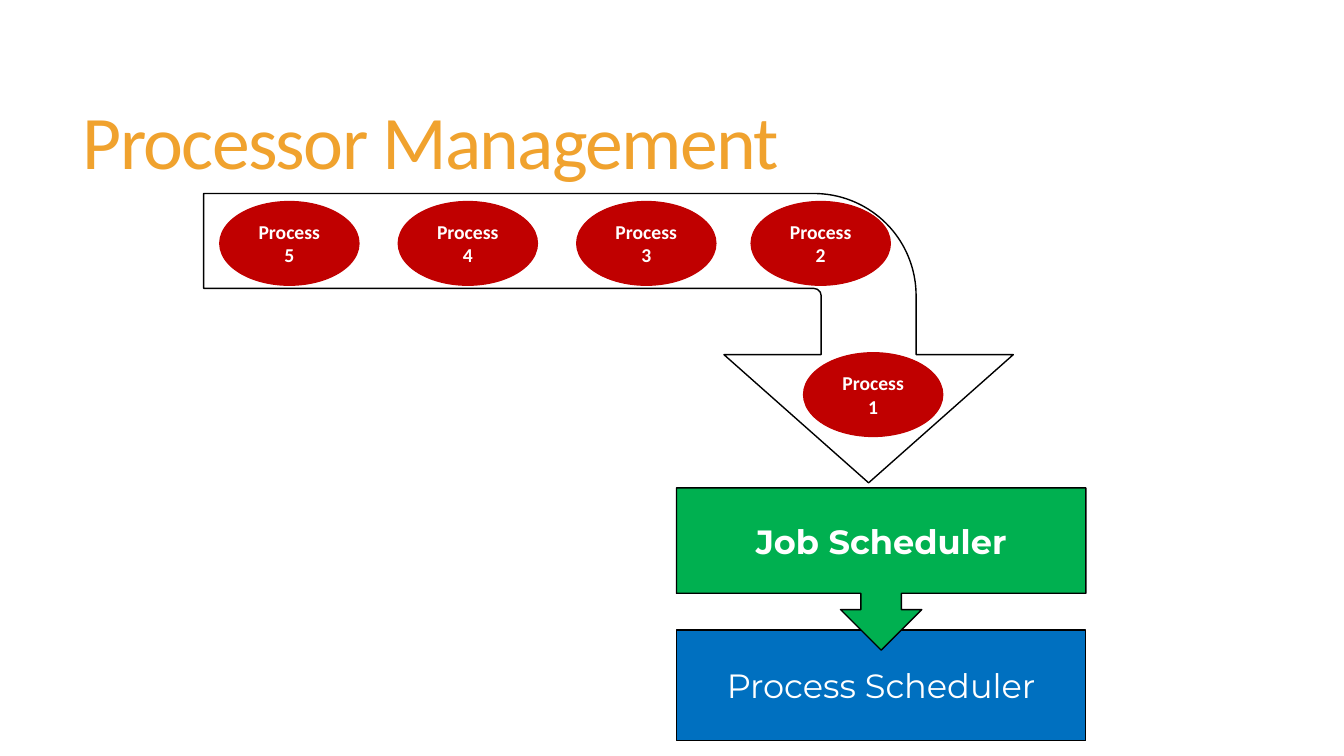
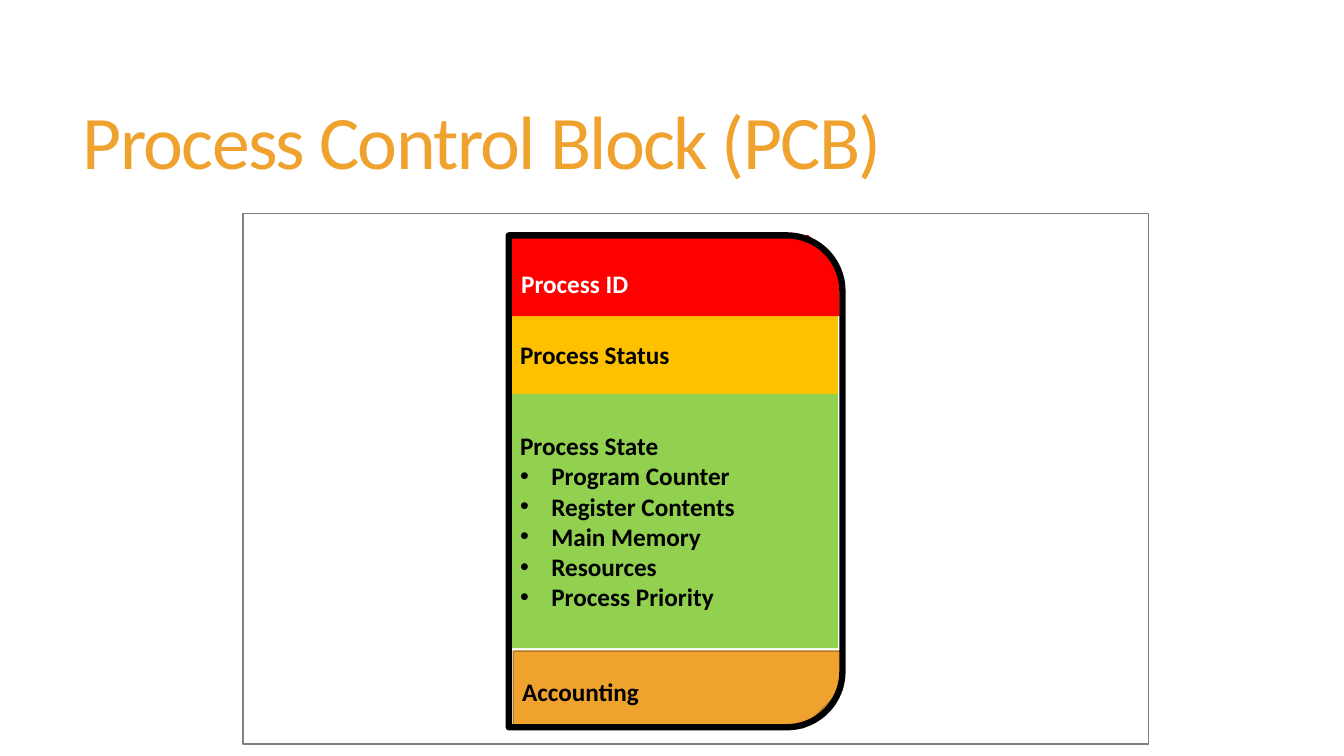
from lxml.etree import SubElement
from pptx import Presentation
from pptx.dml.color import RGBColor
from pptx.enum.shapes import MSO_SHAPE
from pptx.enum.text import MSO_ANCHOR, MSO_AUTO_SIZE, PP_ALIGN
from pptx.oxml.ns import qn
from pptx.util import Inches, Pt

COLORS = {
    "title": "F0A22E", "white": "FFFFFF", "black": "000000",
    "process": "C00000", "job": "00B050", "scheduler": "0070C0",
    "id": "FF0000", "status": "FFC000", "state": "92D050",
    "accounting": "F0A22E", "accounting_edge": "B27822", "frame": "808080",
}


def draw(slide, kind, at, fill=None, line=None, width=1):
    shape = slide.shapes.add_shape(kind, *[Inches(length) for length in at])
    shape.shadow.inherit = False
    if fill:
        shape.fill.solid()
        shape.fill.fore_color.rgb = RGBColor.from_string(COLORS[fill])
    else:
        shape.fill.background()
    if line:
        shape.line.color.rgb = RGBColor.from_string(COLORS[line])
        shape.line.width = Pt(width)
    else:
        shape.line.fill.background()
    return shape


def write(shape, lines, size, color, font="Calibri", bold=True, align=PP_ALIGN.LEFT):
    frame = shape.text_frame
    frame.word_wrap = True
    frame.vertical_anchor = MSO_ANCHOR.MIDDLE
    for index, line in enumerate(lines):
        paragraph = frame.add_paragraph() if index else frame.paragraphs[0]
        paragraph.alignment = align
        run = paragraph.add_run()
        run.text = line
        run.font.size = Pt(size)
        run.font.name = font
        run.font.bold = bold
        run.font.color.rgb = RGBColor.from_string(COLORS[color])
    return frame.paragraphs


deck = Presentation()
deck.slide_width = Inches(13.33)
deck.slide_height = Inches(7.5)
title_only = deck.slide_layouts[5]

slides = []
for heading in ("Processor Management", "Process Control Block (PCB)"):
    slide = deck.slides.add_slide(title_only)
    title = slide.shapes.title
    title.left, title.top = Inches(0.72), Inches(0.55)
    title.width, title.height = Inches(11.78), Inches(1.81)
    heading_line = write(title, [heading], 54, "title", bold=False)[0]
    heading_line.line_spacing = 0.85
    heading_line.runs[0].font._element.set("spc", "-120")
    title.text_frame.auto_size = MSO_AUTO_SIZE.NONE
    slides.append(slide)
queue_slide, pcb_slide = slides

process_scheduler = draw(queue_slide, MSO_SHAPE.RECTANGLE, (6.71, 6.25, 4.06, 1.1), "scheduler", "black")
write(process_scheduler, ["Process Scheduler"], 24, "white", "Montserrat", False, PP_ALIGN.CENTER)
job_scheduler = draw(queue_slide, MSO_SHAPE.DOWN_ARROW_CALLOUT, (6.71, 4.84, 4.06, 1.61), "job", "black")
write(job_scheduler, ["Job Scheduler"], 24, "white", "Montserrat", True, PP_ALIGN.CENTER)

queue_arrow = draw(queue_slide, MSO_SHAPE.BENT_ARROW, (4.6, -0.66, 2.87, 8.03), line="black")
queue_arrow.rotation = 90
for index, ratio in enumerate((0.328, 0.5, 0.443, 0.353)):
    queue_arrow.adjustments[index] = ratio

process_places = {"5": (2.18, 2), "4": (3.95, 2), "3": (5.72, 2), "2": (7.45, 2), "1": (7.97, 3.5)}
for number, place in process_places.items():
    process = draw(queue_slide, MSO_SHAPE.OVAL, (*place, 1.38, 0.83), "process", "process")
    write(process, ["Process", number], 14, "white", align=PP_ALIGN.CENTER)

status = draw(pcb_slide, MSO_SHAPE.RECTANGLE, (5.06, 3.12, 3.25, 0.79), "status")
write(status, ["Process Status"], 18, "black")

state = draw(pcb_slide, MSO_SHAPE.RECTANGLE, (5.06, 3.91, 3.25, 2.52), "state")
state_lines = write(state, [
    "Process State", "Program Counter", "Register Contents",
    "Main Memory", "Resources", "Process Priority",
], 18, "black")
for item in state_lines[1:]:
    properties = item._p.get_or_add_pPr()
    properties.set("marL", str(Inches(0.31)))
    properties.set("indent", str(Inches(-0.31)))
    SubElement(properties, qn("a:buFont"), typeface="Arial")
    SubElement(properties, qn("a:buChar"), char="•")

process_id = draw(pcb_slide, MSO_SHAPE.SNIP_1_RECTANGLE, (5.07, 2.34, 3.25, 0.79), "id", "id")
process_id.adjustments[0] = 0.386
write(process_id, ["Process ID"], 18, "white")

accounting = draw(pcb_slide, MSO_SHAPE.SNIP_1_RECTANGLE, (6.34, 5.21, 0.76, 3.26), "accounting", "accounting_edge")
accounting.rotation = 90
accounting.adjustments[0] = 0.5
accounting_label = pcb_slide.shapes.add_textbox(Inches(5.08), Inches(6.66), Inches(1.59), Inches(0.4))
write(accounting_label, ["Accounting"], 18, "black")

block_outline = draw(pcb_slide, MSO_SHAPE.ROUND_2_SAME_RECTANGLE, (4.26, 3.12, 4.88, 3.31), line="black", width=4.5)
block_outline.rotation = 90
draw(pcb_slide, MSO_SHAPE.RECTANGLE, (2.41, 2.12, 8.98, 5.26), line="frame")

deck.save("out.pptx")
